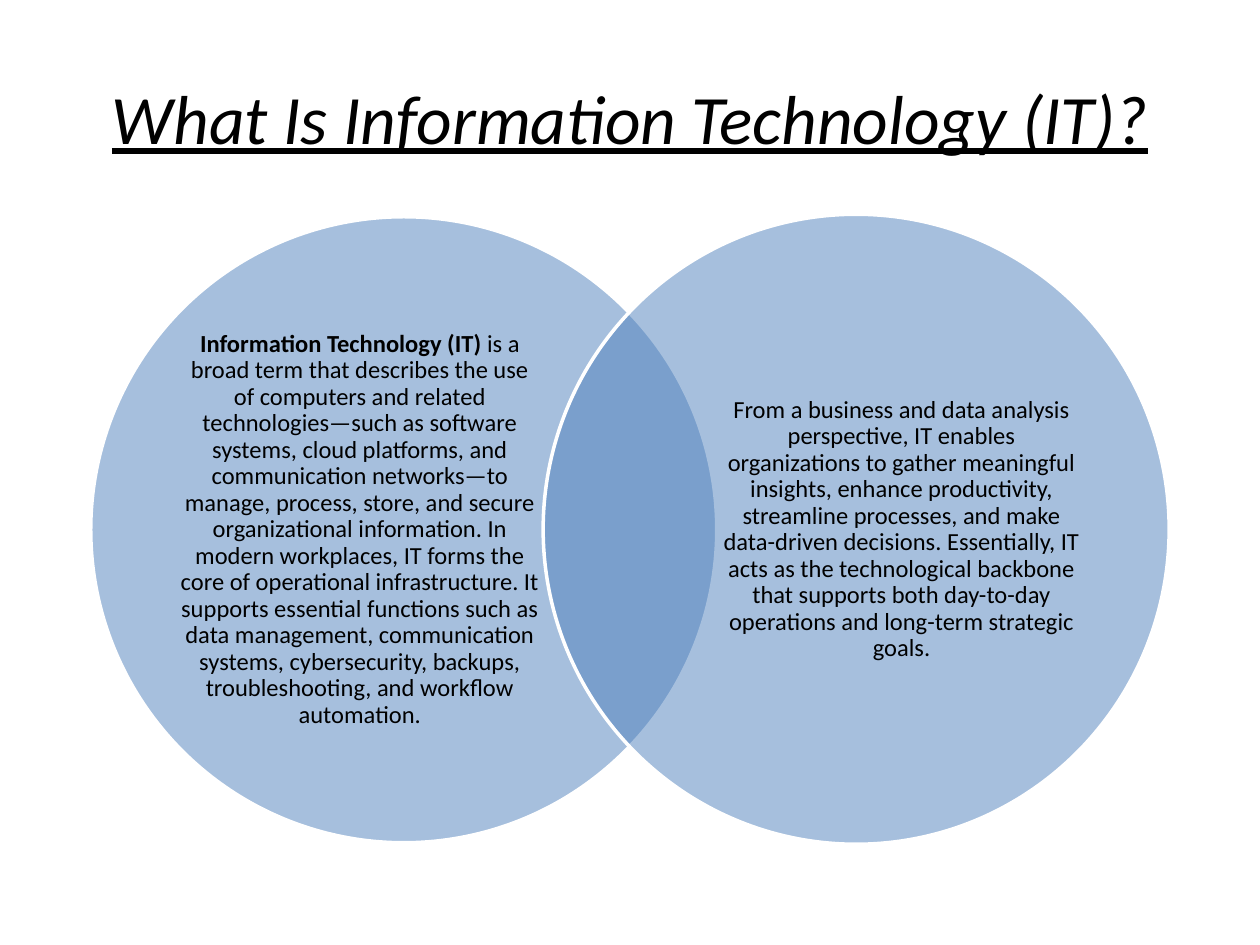
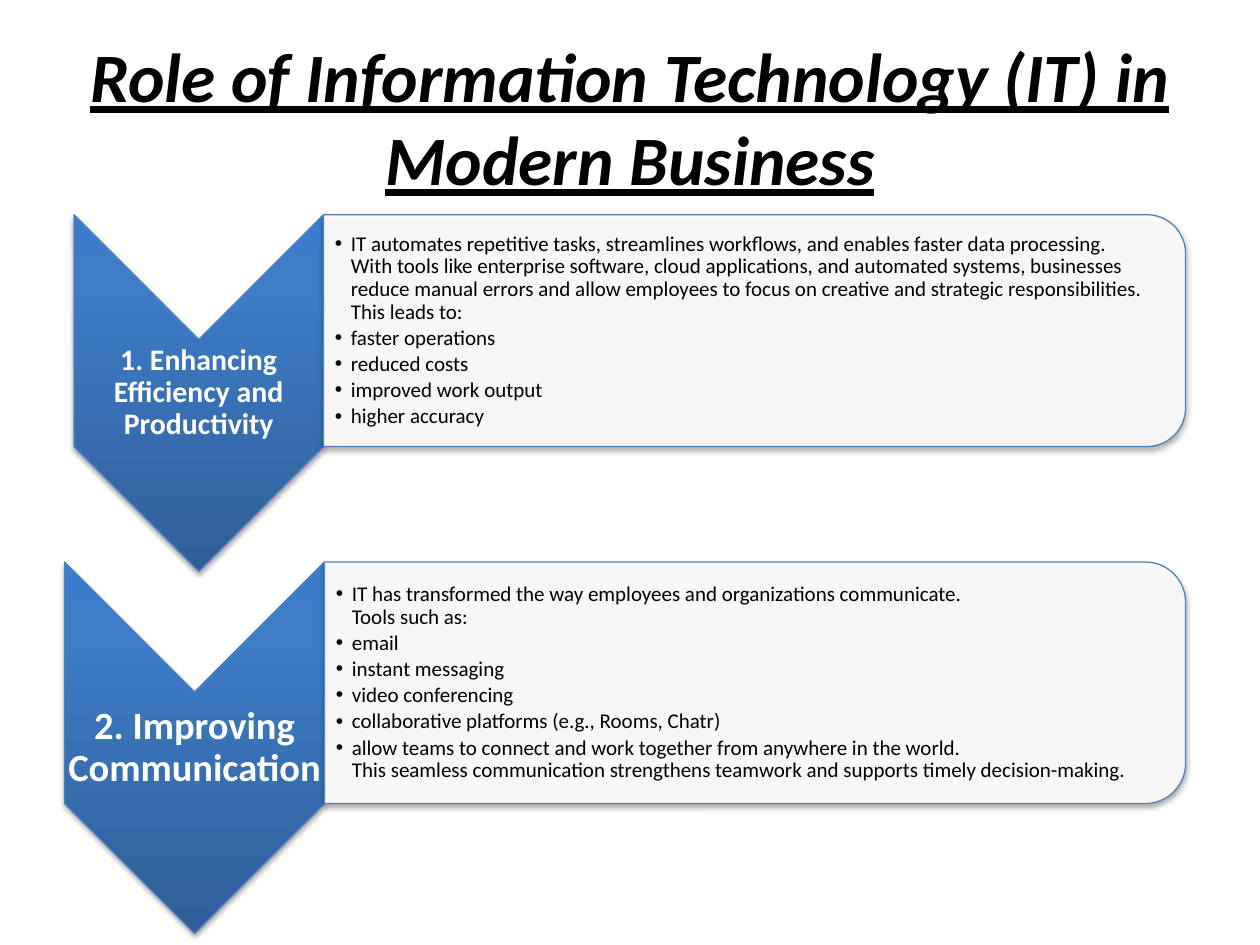
from lxml.etree import SubElement
from pptx import Presentation
from pptx.dml.color import RGBColor
from pptx.enum.shapes import MSO_SHAPE
from pptx.enum.text import MSO_ANCHOR, MSO_AUTO_SIZE, PP_ALIGN
from pptx.oxml import parse_xml
from pptx.oxml.ns import nsdecls, qn
from pptx.util import Cm, Pt

BLACK = RGBColor(0, 0, 0)
WHITE = RGBColor(255, 255, 255)
BLUE = RGBColor(0x4F, 0x81, 0xBD)
DEEP = RGBColor(0x2F, 0x5F, 0x99)
MID = RGBColor(0x3D, 0x7C, 0xC7)
BRIGHT = RGBColor(0x3A, 0x7C, 0xCB)
FONT = "Calibri"
EDGE = 23.9

TERM = "Information Technology (IT)"
ABOUT = (
    " is a broad term that describes the use of computers and related "
    "technologies—such as software systems, cloud platforms, and communication "
    "networks—to manage, process, store, and secure organizational information. "
    "In modern workplaces, IT forms the core of operational infrastructure. It "
    "supports essential functions such as data management, communication systems, "
    "cybersecurity, backups, troubleshooting, and workflow automation."
)
VALUE = (
    "From a business and data analysis perspective, IT enables organizations to "
    "gather meaningful insights, enhance productivity, streamline processes, and "
    "make data-driven decisions. Essentially, IT acts as the technological backbone "
    "that supports both day-to-day operations and long-term strategic goals."
)
OUTPUT = [
    "IT automates repetitive tasks, streamlines workflows, and enables faster data "
    "processing.\nWith tools like enterprise software, cloud applications, and "
    "automated systems, businesses reduce manual errors and allow employees to focus "
    "on creative and strategic responsibilities.\nThis leads to:",
    "faster operations",
    "reduced costs",
    "improved work output",
    "higher accuracy",
]
CONTACT = [
    "IT has transformed the way employees and organizations communicate.\n"
    "Tools such as:",
    "email",
    "instant messaging",
    "video conferencing",
    "collaborative platforms (e.g., Rooms, Chatr)",
    "allow teams to connect and work together from anywhere in the world.\n"
    "This seamless communication strengthens teamwork and supports timely "
    "decision-making.",
]


def place(shape, left, top, width, height):
    """Move a shape to a box given in centimetres."""
    shape.left, shape.top = Cm(left), Cm(top)
    shape.width, shape.height = Cm(width), Cm(height)


def style(par, size, color=BLACK, bold=False):
    """Set the font of a paragraph."""
    font = par.font
    font.name, font.size, font.bold = FONT, Pt(size), bold
    font.color.rgb = color


def frame(shape, inset=0):
    """Prepare a wrapped, middle-anchored text frame with thin margins."""
    text = shape.text_frame
    text.word_wrap, text.auto_size = True, MSO_AUTO_SIZE.NONE
    text.vertical_anchor = MSO_ANCHOR.MIDDLE
    text.margin_left = Cm(inset)
    text.margin_top = text.margin_right = text.margin_bottom = 0
    return text


def head(slide, words, bold=False):
    """Fill the title placeholder in the shared title style."""
    title = slide.shapes.title
    place(title, 1.27, 0.76, 22.86, 3.18)
    title.text_frame.auto_size = MSO_AUTO_SIZE.NONE
    title.text_frame.vertical_anchor = MSO_ANCHOR.MIDDLE
    par = title.text_frame.paragraphs[0]
    par.text, par.alignment = words, PP_ALIGN.CENTER
    style(par, 39.6, bold=bold)
    par.font.italic = par.font.underline = True


def label(slide, box, parts, size, color=BLACK, bold=False):
    """Add centred text, its parts given as (words, bold) pairs."""
    note = slide.shapes.add_textbox(0, 0, 0, 0)
    place(note, *box)
    par = frame(note).paragraphs[0]
    par.alignment, par.line_spacing = PP_ALIGN.CENTER, 0.9
    style(par, size, color, bold)
    for words, strong in parts:
        run = par.add_run()
        run.text = words
        if strong != bold:
            run.font.bold = strong


def form(slide, kind, box, fill, alpha, edge, weight):
    """Add a filled and outlined preset shape without shadow."""
    shape = slide.shapes.add_shape(kind, 0, 0, 0, 0)
    place(shape, *box)
    shape.shadow.inherit = False
    shape.fill.solid()
    shape.fill.fore_color.rgb = fill
    color = shape.element.xpath("./p:spPr/a:solidFill/a:srgbClr")[0]
    SubElement(color, qn("a:alpha"), val=str(alpha * 1000))
    shape.line.color.rgb, shape.line.width = edge, Pt(weight)
    return shape


def turn(slide, kind, box, fill, alpha):
    """Add a shape turned by 90 degrees that covers the box, with a shadow."""
    left, top, width, height = box
    shift = (width - height) / 2
    shape = form(slide, kind, (left + shift, top - shift, height, width),
                 fill, alpha, BLUE, 0.75)
    shape.rotation = 90
    glow = parse_xml(
        f'<a:outerShdw {nsdecls("a")} blurRad="40000" dist="23000" dir="5400000" '
        f'rotWithShape="0"><a:srgbClr val="{BLACK}"><a:alpha val="35000"/>'
        '</a:srgbClr></a:outerShdw>')
    shape.element.xpath("./p:spPr/a:effectLst")[0].append(glow)
    return shape


def fade(shape):
    """Replace the solid fill with an upward blue gradient."""
    stops = "".join(
        f'<a:gs pos="{pos * 1000}"><a:srgbClr val="{color}"/></a:gs>'
        for pos, color in ((0, DEEP), (80, MID), (100, BRIGHT)))
    grad = parse_xml(
        f'<a:gradFill {nsdecls("a")} rotWithShape="0"><a:gsLst>{stops}</a:gsLst>'
        '<a:lin ang="16200000" scaled="0"/></a:gradFill>')
    solid = shape.element.xpath("./p:spPr/a:solidFill")[0]
    solid.getparent().replace(solid, grad)


def points(slide, holder, box, items):
    """Fill a body placeholder with bullets and bring it to the front."""
    place(holder, *box)
    text = frame(holder, 0.23)
    for num, item in enumerate(items):
        par = text.add_paragraph() if num else text.paragraphs[0]
        par.text, par.line_spacing = item, 0.9
        par.alignment = PP_ALIGN.LEFT
        par.space_before, par.space_after = Pt(0), Pt(2)
        style(par, 12)
        props = par._p.get_or_add_pPr()
        props.set("marL", str(Cm(0.32)))
        props.set("indent", str(Cm(-0.32)))
        mark = parse_xml(f'<a:buChar {nsdecls("a")} char="•"/>')
        props.find(qn("a:defRPr")).addprevious(mark)
    slide.shapes.element.append(holder.element)


def circle(slide, box, inset, parts):
    """Draw one circle of the pair with its text beside the overlap."""
    left, top, width, height = box
    form(slide, MSO_SHAPE.OVAL, box, BLUE, 50, WHITE, 2)
    label(slide, (left + inset, top + 0.118 * height, 7.29, 0.764 * height),
          parts, 14)


def row(slide, holder, left, top, height, name, size, items):
    """Draw a chevron with its name and a card with its list."""
    width, tall = 0.7 * height, 0.65 * height
    side = left + width
    fade(turn(slide, MSO_SHAPE.CHEVRON, (left, top, width, height), MID, 100))
    label(slide, (left, top + width / 2, width, height - width),
          [(name, True)], size, WHITE, True)
    turn(slide, MSO_SHAPE.ROUND_2_SAME_RECTANGLE,
         (side, top, EDGE - side, tall), WHITE, 90)
    points(slide, holder, (side, top + 0.23, EDGE - side - 0.23, tall - 0.46), items)


def intro(deck):
    """Build the slide with two overlapping circles."""
    slide = deck.slides.add_slide(deck.slide_layouts[5])
    head(slide, "What Is Information Technology (IT)?")
    circle(slide, (1.83, 4.37, 12.62, 12.62), 1.78, [(TERM, True), (ABOUT, False)])
    circle(slide, (10.95, 4.32, 12.62, 12.7), 3.58, [(VALUE, False)])


def role(deck):
    """Build the slide with two chevron rows."""
    slide = deck.slides.add_slide(deck.slide_layouts[3])
    head(slide, "Role of Information Technology (IT) in Modern Business", True)
    first, second = list(slide.placeholders)[1:]
    row(slide, first, 1.49, 4.33, 7.19,
        "1. Enhancing Efficiency and Productivity", 17, OUTPUT)
    row(slide, second, 1.3, 11.33, 7.49, "2. Improving Communication", 22, CONTACT)


def main():
    """Build and save the deck."""
    deck = Presentation()
    deck.slide_width, deck.slide_height = Cm(25.4), Cm(19.05)
    intro(deck)
    role(deck)
    deck.save("out.pptx")


if __name__ == "__main__":
    main()
